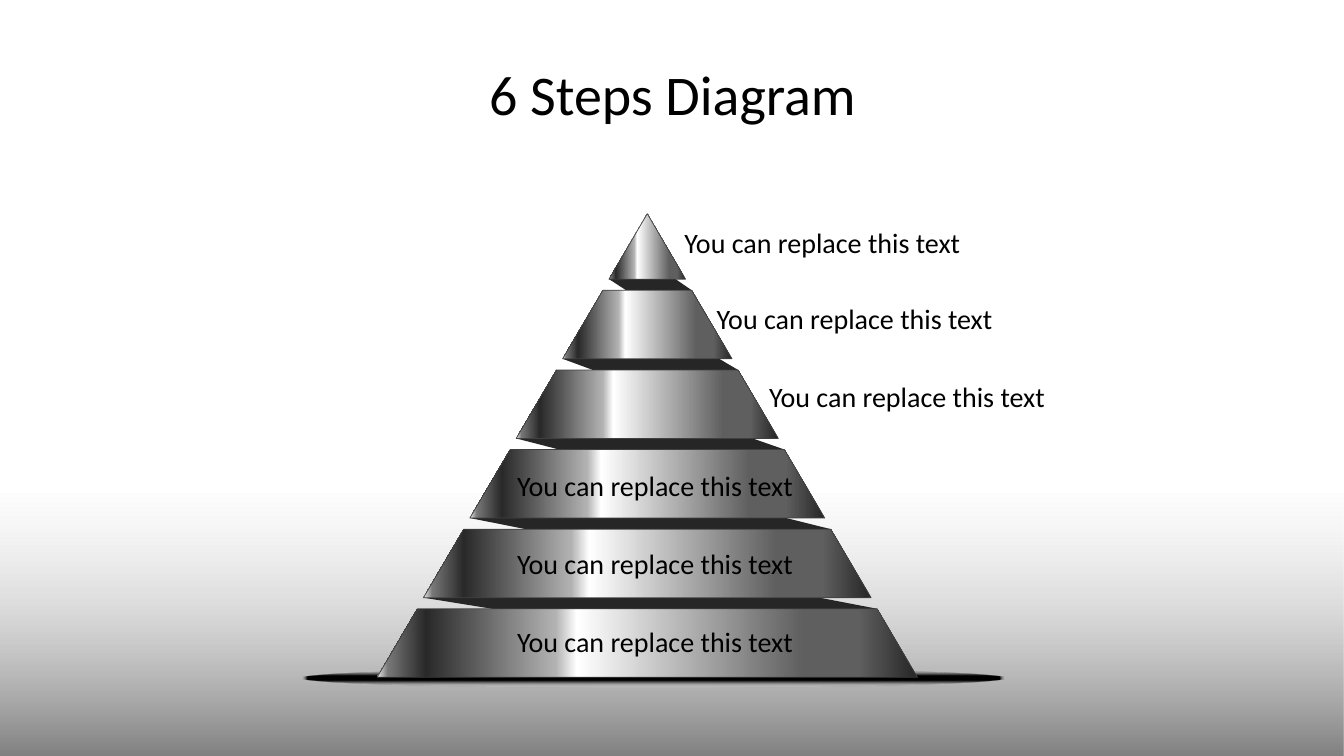
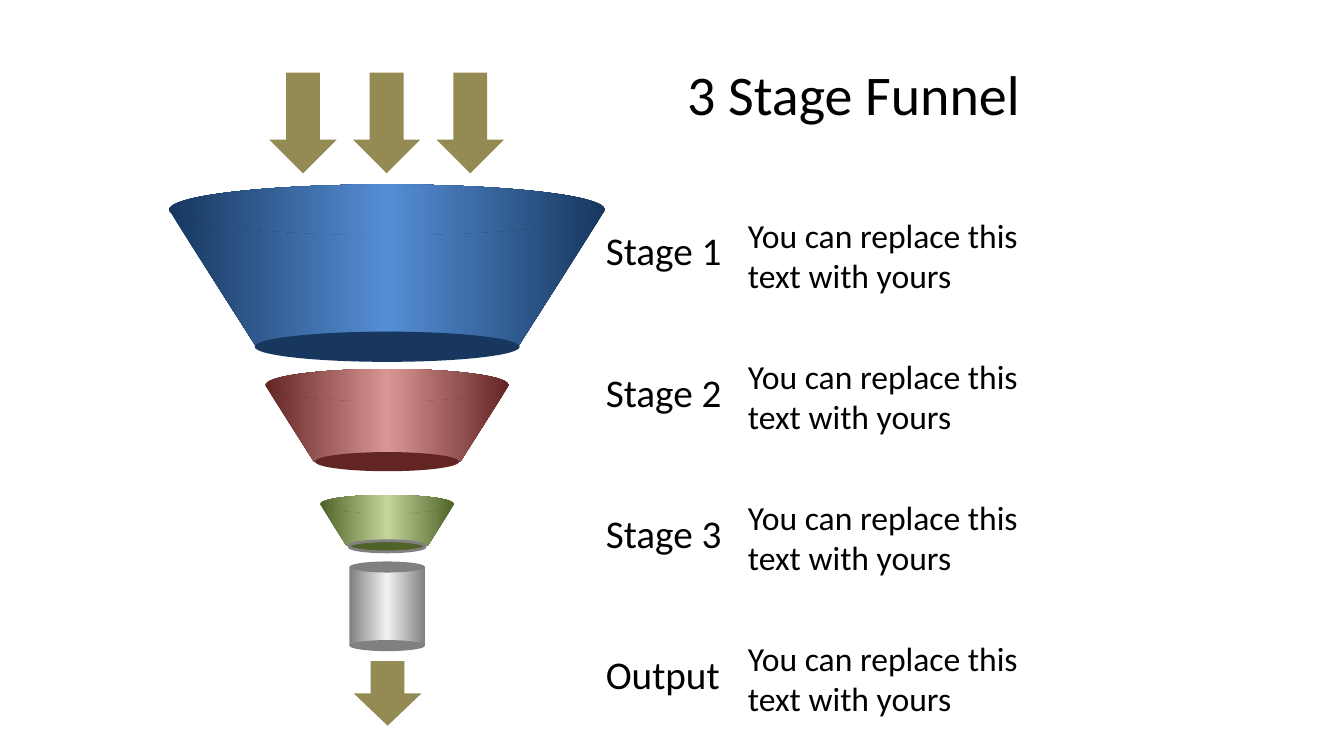
from lxml.etree import SubElement
from pptx import Presentation
from pptx.dml.color import RGBColor
from pptx.enum.shapes import MSO_SHAPE as SHAPE
from pptx.enum.text import MSO_ANCHOR as ANCHOR, MSO_AUTO_SIZE as AUTO, PP_ALIGN as ALIGN
from pptx.oxml.ns import qn
from pptx.util import Inches, Pt

# Shared style
FONT, INK = "Calibri", "000000"
GRAY, KHAKI, FOLD, EDGE = "808080", "948A54", "262626", "404040"
STEEL = [(0, "262626"), (11, "5F5F5F"), (21, "5F5F5F"), (63, "FFFFFF"),
         (67, "B2B2B2"), (91, "292929"), (98, "777777"), (100, "EAEAEA")]
TITLE = {"vertical_anchor": ANCHOR.MIDDLE, "word_wrap": True}
LABEL = {"auto_size": AUTO.SHAPE_TO_FIT_TEXT, "word_wrap": False}
BODY = {"auto_size": AUTO.SHAPE_TO_FIT_TEXT, "word_wrap": True}


def paint(shape, fill, line=None, width=1, angle=0):
    """Fill with a hex colour or with (position, hex, opacity) stops; angle None is radial."""
    shape.shadow.inherit = False
    if isinstance(fill, str):
        shape.fill.solid()
        shape.fill.fore_color.rgb = RGBColor.from_string(fill)
    else:
        shape.fill.gradient()
        gradient = shape._element.spPr.find(qn("a:gradFill"))
        stops = gradient.find(qn("a:gsLst"))
        for old in list(stops):
            stops.remove(old)
        for position, color, *opacity in fill:
            stop = SubElement(stops, qn("a:gs"), pos=str(position * 1000))
            tint = SubElement(stop, qn("a:srgbClr"), val=color)
            for percent in opacity:
                SubElement(tint, qn("a:alpha"), val=str(percent * 1000))
        direction = gradient.find(qn("a:lin"))
        if angle is None:
            gradient.remove(direction)
            radial = SubElement(gradient, qn("a:path"), {"path": "shape"})
            SubElement(radial, qn("a:fillToRect"), dict.fromkeys("ltrb", "50000"))
        else:
            direction.set("ang", str(angle * 60000))
    if line:
        shape.line.color.rgb = RGBColor.from_string(line)
        shape.line.width = Pt(width)
    else:
        shape.line.fill.background()


def write(shapes, text, box, size, frame_format, align=ALIGN.LEFT):
    frame = shapes.add_textbox(*map(Inches, box)).text_frame
    for name, value in frame_format.items():
        setattr(frame, name, value)
    paragraph = frame.paragraphs[0]
    paragraph.alignment = align
    run = paragraph.add_run()
    run.text = text
    for name, value in {"name": FONT, "size": Pt(size)}.items():
        setattr(run.font, name, value)
    run.font.color.rgb = RGBColor.from_string(INK)


deck = Presentation()
deck.slide_width, deck.slide_height = Inches(13.33), Inches(7.5)
blank = deck.slide_layouts[6]

# Slide 1: pyramid
pyramid = deck.slides.add_slide(blank).shapes

# Floor and ground shadow
floor = pyramid.add_shape(SHAPE.RECTANGLE, *map(Inches, (0, 4.9, 13.33, 2.6)))
paint(floor, [(0, "D9D9D9", 4), (46, "BFBFBF", 60), (100, GRAY)], angle=90)
ground = pyramid.add_shape(SHAPE.OVAL, *map(Inches, (2.98, 6.63, 7, 0.19)))
paint(ground, [(24, INK), (100, "FFFFFF", 0)], angle=None)

# Tier corners: top left, top right, bottom right, bottom left
axis = 6.42
tiers = []
for level in range(6):
    base = 2.77 + 0.79 * level
    half_base = 0.38 + 0.46 * level
    half_top = max(0, half_base - 0.4)
    top = base - (0.68 if level else 0.65)
    tiers.append([(axis - half_top, top), (axis + half_top, top),
                  (axis + half_base, base), (axis - half_base, base)])

# Each fold runs from the left side of a tier to the right side of the next
folds = []
for upper, lower in zip(tiers, tiers[1:]):
    shoulder = upper[0]
    if upper[0] == upper[1]:
        shoulder = tuple((a + b) / 2 for a, b in zip(upper[0], upper[3]))
    folds.append([lower[2], upper[3], shoulder, lower[1]])

for outlines, style in ((folds, {"fill": FOLD}),
                        (tiers, {"fill": STEEL, "line": EDGE, "width": 0.5, "angle": 180})):
    for outline in outlines:
        start, *rest = [(Inches(x), Inches(y)) for x, y in outline]
        builder = pyramid.build_freeform(*start)
        builder.add_line_segments(rest)
        paint(builder.convert_to_shape(), **style)

# Title and step labels
write(pyramid, "6 Steps Diagram", (0.67, 0.3, 12, 1.25), 40, TITLE, ALIGN.CENTER)
for left, top in ((6.69, 2.19), (7.01, 2.94), (7.53, 3.72),
                  (5.03, 4.6), (5.03, 5.37), (5.03, 6.15)):
    write(pyramid, "You can replace this text", (left, top, 2.97, 0.44), 20, LABEL)

# Slide 2: funnel
funnel = deck.slides.add_slide(blank).shapes
axis = 3.84

# Stages: dark, light, cone top, width and height, rim height, outlet width and height, ring
for dark, light, top, width, height, rim, outlet, lip, ring in (
        ("17375E", "558ED5", 2.08, 4.33, 1.36, 0.5, 2.63, 0.3, None),
        ("632523", "D99694", 3.82, 2.42, 0.76, 0.32, 1.43, 0.19, None),
        ("4F6228", "C3D69B", 5, 1.33, 0.42, 0.18, 0.76, 0.11, GRAY)):
    stage = funnel.add_group_shape().shapes
    sheen = [(0, dark), (50, light), (100, dark)]
    for kind, y, w, h, fill, line in (
            (SHAPE.FLOWCHART_MANUAL_OPERATION, top, width, height, sheen, None),
            (SHAPE.OVAL, top - rim / 2, width, rim, sheen, None),
            (SHAPE.OVAL, top + height - lip / 2, outlet, lip, dark, ring)):
        part = stage.add_shape(kind, *map(Inches, (axis - w / 2, y, w, h)))
        paint(part, fill, line, 2)

# Outlet pipe
pipe = funnel.add_group_shape().shapes
for kind, y, h, fill in (
        (SHAPE.RECTANGLE, 5.63, 0.78, [(0, GRAY), (50, "F2F2F2"), (100, GRAY)]),
        (SHAPE.OVAL, 6.35, 0.11, GRAY),
        (SHAPE.OVAL, 5.57, 0.11, GRAY)):
    part = pipe.add_shape(kind, *map(Inches, (axis - 0.375, y, 0.75, h)))
    paint(part, fill)

# Arrows in and out
for left, top, height in ((2.67, 0.72, 1), (3.5, 0.72, 1), (4.33, 0.72, 1), (3.51, 6.56, 0.64)):
    arrow = funnel.add_shape(SHAPE.DOWN_ARROW, *map(Inches, (left, top, 0.67, height)))
    paint(arrow, KHAKI)

# Title and stage descriptions
write(funnel, "3 Stage Funnel", (5.84, 0.3, 5.25, 1.25), 40, TITLE, ALIGN.CENTER)
for row, name in enumerate(("Stage 1", "Stage 2", "Stage 3", "Output")):
    entry = funnel.add_group_shape().shapes
    drop = 1.4 * row
    write(entry, name, (5.91, 2.2 + drop, 1.42, 0.57), 28, BODY)
    write(entry, "You can replace this text with yours", (7.32, 2.08 + drop, 3.35, 0.91), 24, BODY)

deck.save("out.pptx")
